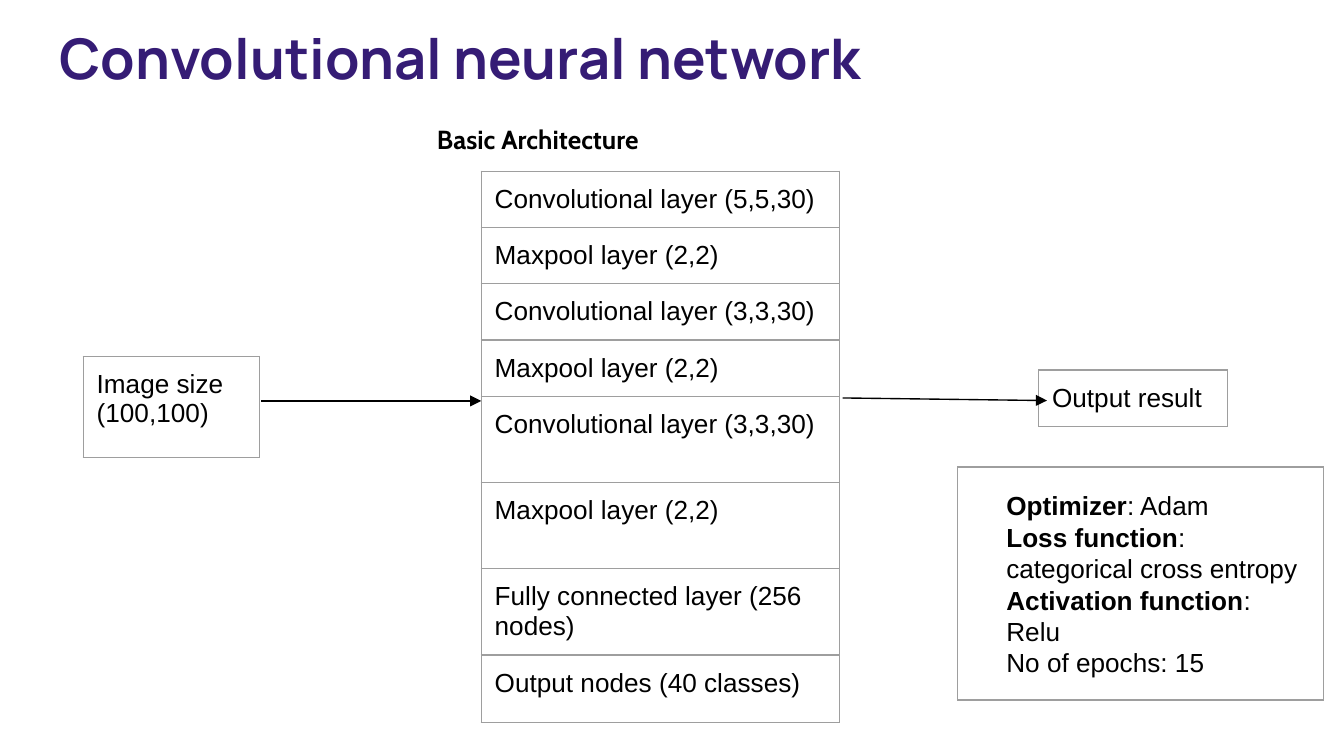
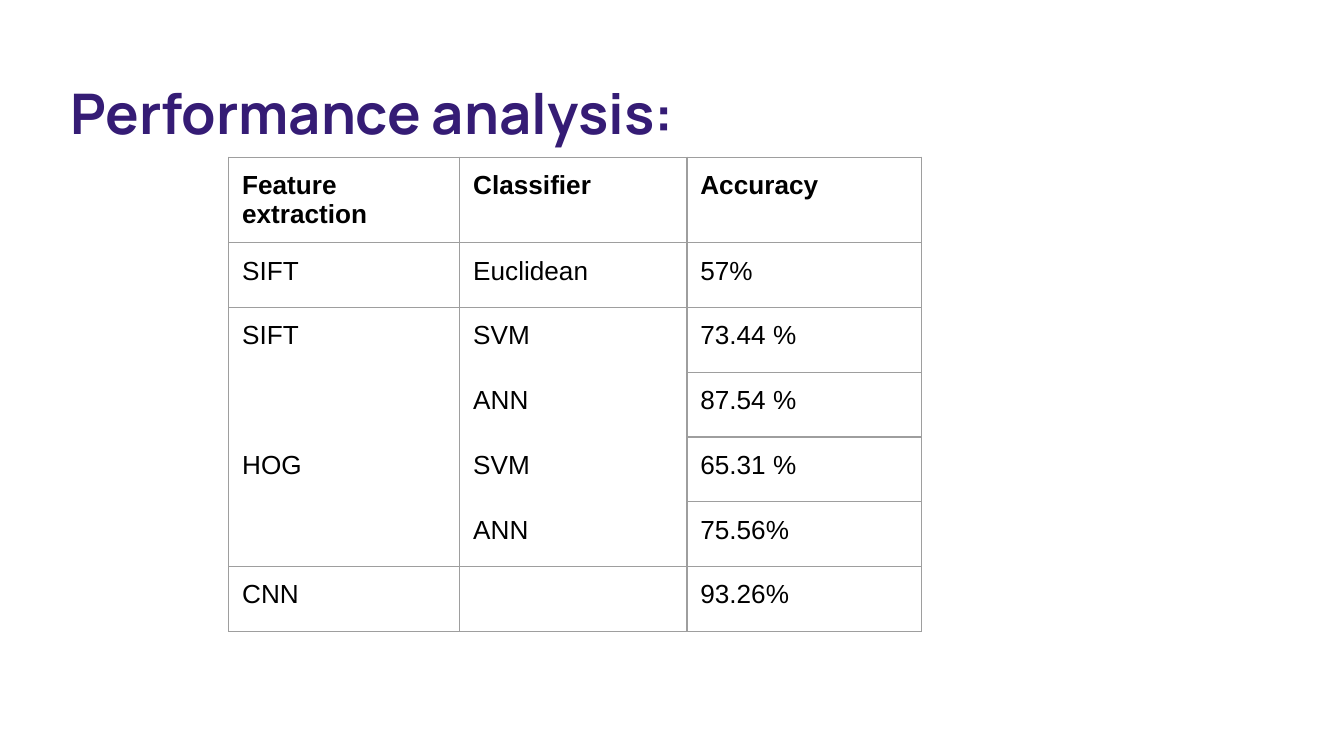
from lxml.etree import SubElement
from pptx import Presentation
from pptx.dml.color import RGBColor
from pptx.enum.shapes import MSO_CONNECTOR
from pptx.enum.text import MSO_ANCHOR, MSO_AUTO_SIZE, PP_ALIGN
from pptx.oxml.ns import qn
from pptx.util import Pt

PURPLE, BLACK, GRAY = "351C75", "000000", "9E9E9E"
INSET = 7.2
FRAME_SIZE = 236.2


def color(value):
    """Turn a hex string into a colour."""
    return RGBColor.from_string(value)


class Deck:
    """Hold the shared style and the current slide."""

    def __init__(self):
        """Start a widescreen presentation."""
        self.presentation = Presentation()
        self.presentation.slide_width = Pt(720)
        self.presentation.slide_height = Pt(405)
        self.slide = None

    def format_runs(self, paragraph, size=14, name="Arial", ink=BLACK, bold=False):
        """Apply one font to every run of a paragraph."""
        for run in paragraph.runs:
            run.font.size = Pt(size)
            run.font.name = name
            run.font.color.rgb = color(ink)
            run.font.bold = bold

    def prepare_frame(self, text_frame, indent=0):
        """Give a text frame the common insets and top alignment."""
        text_frame.word_wrap = True
        text_frame.auto_size = MSO_AUTO_SIZE.NONE
        text_frame.vertical_anchor = MSO_ANCHOR.TOP
        text_frame.margin_left = Pt(INSET + indent)
        text_frame.margin_right = Pt(INSET)
        text_frame.margin_top = text_frame.margin_bottom = Pt(INSET)

    def add_slide(self, title, top, height, indent=0):
        """Add a slide with a formatted title."""
        self.slide = self.presentation.slides.add_slide(self.presentation.slide_layouts[5])
        shape = self.slide.shapes.title
        shape.left, shape.top, shape.width, shape.height = Pt(24.5), Pt(top), Pt(671), Pt(height)
        shape.text_frame.text = title
        self.prepare_frame(shape.text_frame, indent)
        paragraph = shape.text_frame.paragraphs[0]
        paragraph.alignment = PP_ALIGN.LEFT
        self.format_runs(paragraph, 30, "Manrope", PURPLE, True)

    def add_text(self, left, top, width, height, lines, name="Arial", spacing=None):
        """Add lines given as pairs of bold and regular text."""
        shape = self.slide.shapes.add_textbox(Pt(left), Pt(top), Pt(width), Pt(height))
        text_frame = shape.text_frame
        self.prepare_frame(text_frame)
        text_frame.text = "\n".join(strong for strong, _ in lines)
        for paragraph, (_, regular) in zip(text_frame.paragraphs, lines):
            paragraph.line_spacing = spacing
            self.format_runs(paragraph, name=name, bold=True)
            if regular:
                run = paragraph.add_run()
                run.text = regular
                run.font.size, run.font.name = Pt(14), name
                run.font.color.rgb = color(BLACK)

    def add_border(self, cell, side, visible):
        """Draw or hide one side of a cell."""
        properties = cell._tc.get_or_add_tcPr()
        line = SubElement(properties, qn(f"a:ln{side}"), w=str(Pt(0.75)))
        if visible:
            fill = SubElement(line, qn("a:solidFill"))
            SubElement(fill, qn("a:srgbClr"), val=GRAY)
        else:
            SubElement(line, qn("a:noFill"))

    def add_table(self, left, top, widths, heights, rows, header=False, open_tops=()):
        """Add a gridded table, with no line above the cells in open_tops."""
        frame = self.slide.shapes.add_table(
            len(rows), len(widths), Pt(left), Pt(top), Pt(FRAME_SIZE), Pt(FRAME_SIZE)
        )
        table = frame.table
        table.first_row = table.horz_banding = False
        for column, width in zip(table.columns, widths):
            column.width = Pt(width)
        for row, height in zip(table.rows, heights):
            row.height = Pt(height)
        frame.width = frame.height = Pt(FRAME_SIZE)
        for row_index, texts in enumerate(rows):
            for column_index, text in enumerate(texts):
                cell = table.cell(row_index, column_index)
                cell.margin_left = cell.margin_right = Pt(INSET)
                cell.margin_top = cell.margin_bottom = Pt(INSET)
                cell.text_frame.text = text
                for paragraph in cell.text_frame.paragraphs:
                    self.format_runs(paragraph, bold=header and row_index == 0)
                    if not text:
                        SubElement(paragraph._p, qn("a:endParaRPr"), sz="1400")
                self.add_border(cell, "L", True)
                self.add_border(cell, "R", True)
                self.add_border(cell, "T", (row_index, column_index) not in open_tops)
                self.add_border(cell, "B", (row_index + 1, column_index) not in open_tops)
                cell.fill.background()

    def add_arrow(self, start_x, start_y, end_x, end_y):
        """Add a thin black arrow."""
        connector = self.slide.shapes.add_connector(
            MSO_CONNECTOR.STRAIGHT, Pt(start_x), Pt(start_y), Pt(end_x), Pt(end_y)
        )
        connector.line.color.rgb = color(BLACK)
        connector.line.width = Pt(0.75)
        SubElement(connector.line._get_or_add_ln(), qn("a:tailEnd"), type="triangle")
        SubElement(connector._element.spPr, qn("a:effectLst"))


def build_network(deck):
    """Build the network architecture slide."""
    deck.add_slide("Convolutional neural network", 5.4, 45.4)
    deck.add_text(227, 59, 140, 32, [("Basic Architecture", "")], "Cabin")
    layers = [
        "Convolutional layer (5,5,30)",
        "Maxpool layer (2,2)",
        "Convolutional layer (3,3,30)",
        "Maxpool layer (2,2)",
        "Convolutional layer (3,3,30)",
        "Maxpool layer (2,2)",
        "Fully connected layer (256 nodes)",
        "Output nodes (40 classes)",
    ]
    heights = [30] * 4 + [46.2] * 3 + [36]
    deck.add_table(257.8, 91.7, [192], heights, [[layer] for layer in layers])
    deck.add_table(44.6, 190.9, [94.3], [54], [["Image size\n(100,100)"]])
    deck.add_table(556.4, 198.2, [101.2], [30], [["Output result"]])
    deck.add_arrow(140, 214.8, 257.8, 214.8)
    deck.add_arrow(451.4, 213.2, 560.9, 214.6)
    settings = [
        ("Optimizer", ": Adam"),
        ("Loss function", ": categorical cross entropy"),
        ("Activation function", ": Relu"),
        ("", "No of epochs: 15"),
    ]
    deck.add_text(532, 255.2, 173, 45.4, settings, spacing=Pt(16.8))
    deck.add_table(513, 250.2, [196], [124.8], [[""]])


def build_performance(deck):
    """Build the accuracy comparison slide."""
    deck.add_slide("Performance analysis:", 34.9, 49, indent=6)
    results = [
        ["Feature extraction", "Classifier", "Accuracy"],
        ["SIFT", "Euclidean", "57%"],
        ["SIFT", "SVM", "73.44 %"],
        ["", "ANN", "87.54 %"],
        ["HOG", "SVM", "65.31 %"],
        ["", "ANN", "75.56%"],
        ["CNN", "", "93.26%"],
    ]
    open_tops = [(row, column) for row in (3, 4, 5) for column in (0, 1)]
    deck.add_table(122.5, 84.2, [123.8, 121.7, 125.5], [34.7] * 7, results, True, open_tops)


def main():
    """Build and save the presentation."""
    deck = Deck()
    build_network(deck)
    build_performance(deck)
    deck.presentation.save("out.pptx")


if __name__ == "__main__":
    main()
